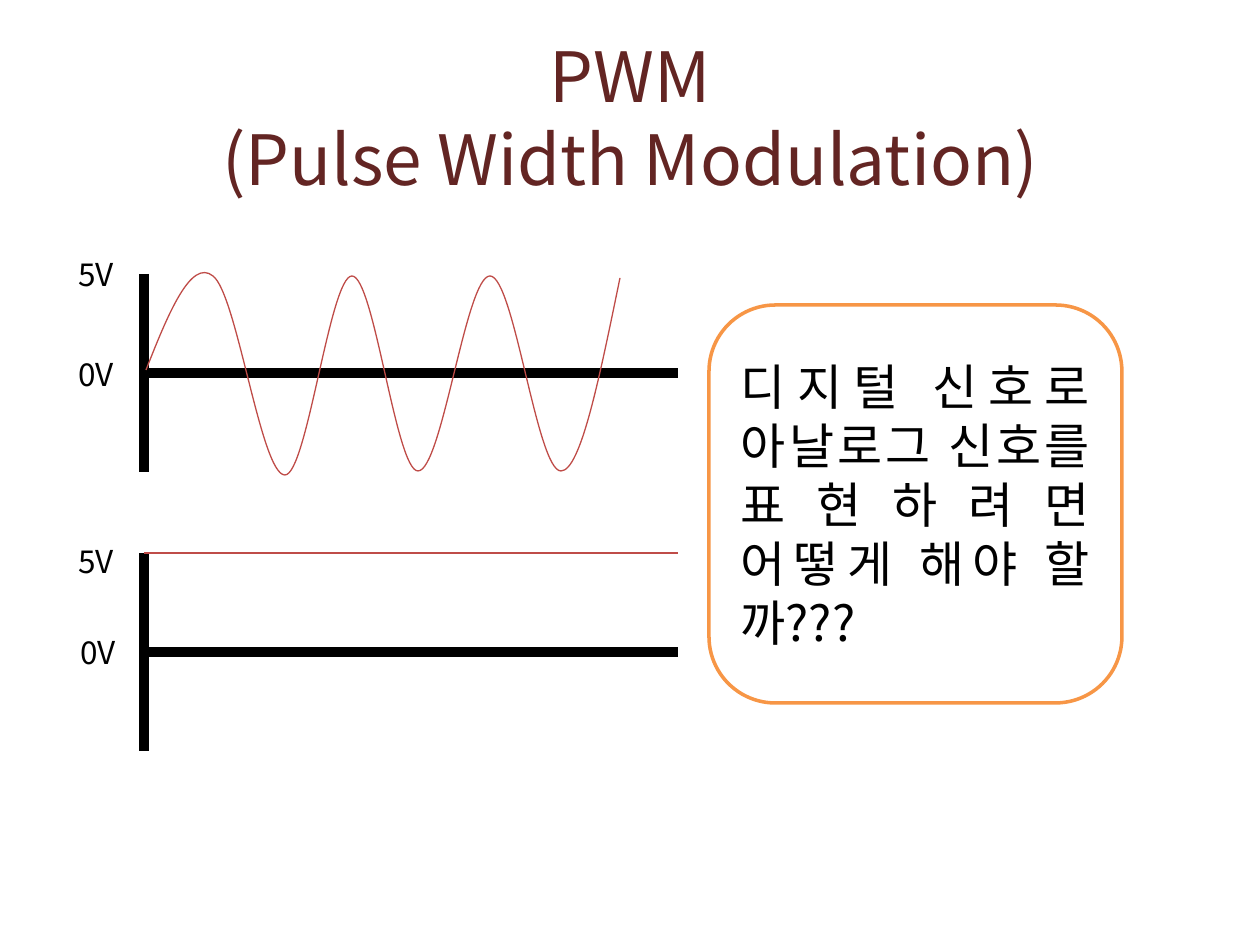
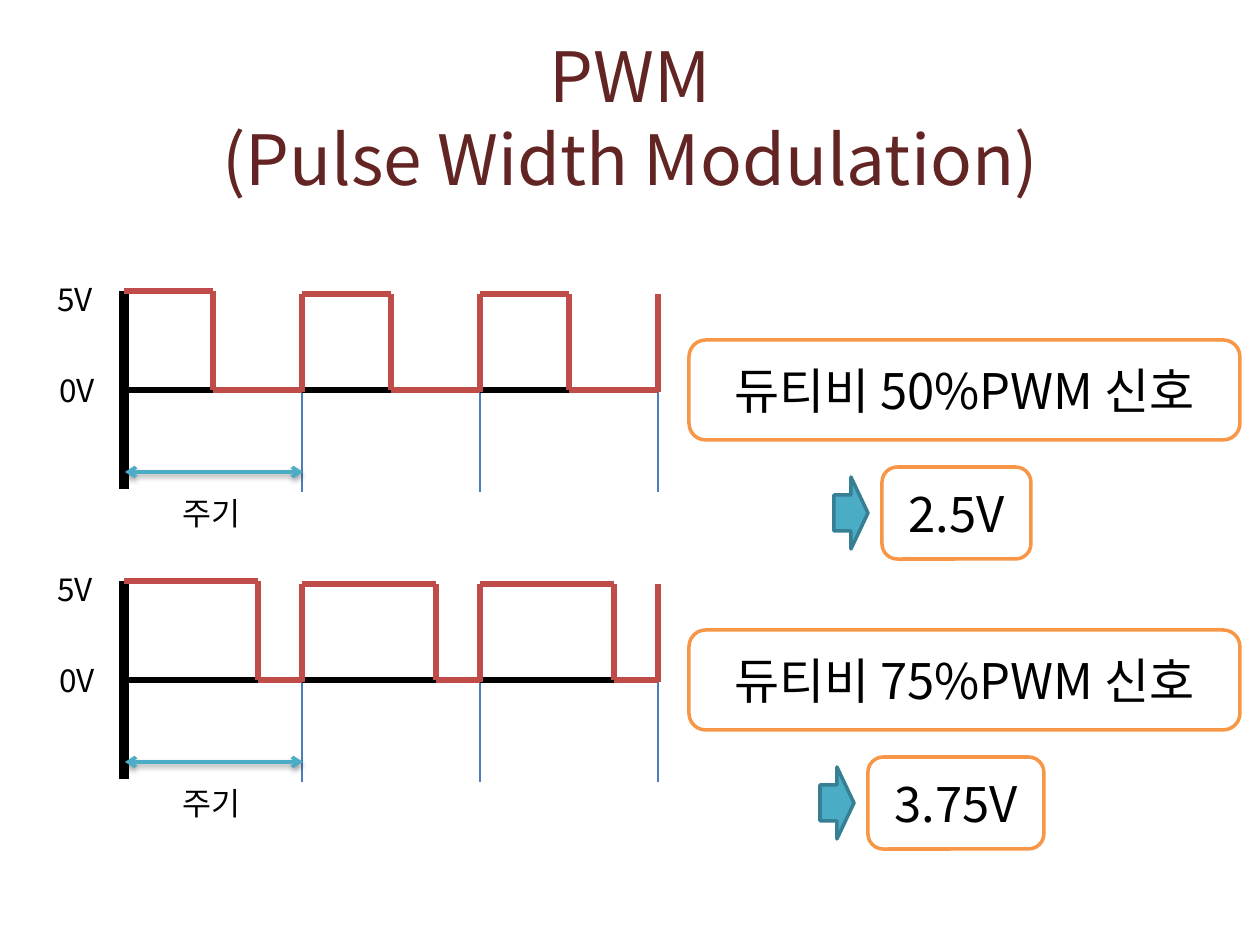
from lxml.etree import SubElement
from pptx import Presentation
from pptx.dml.color import RGBColor
from pptx.enum.shapes import MSO_CONNECTOR, MSO_SHAPE as SHAPE
from pptx.enum.text import MSO_ANCHOR as ANCHOR, PP_ALIGN as ALIGN
from pptx.oxml.ns import qn
from pptx.util import Inches, Pt

PX = 7257  # EMU in one px, 126 px to the inch
FONT = "Noto Sans CJK KR"
BLACK = RGBColor(0x00, 0x00, 0x00)
WHITE = RGBColor(0xFF, 0xFF, 0xFF)
MAROON = RGBColor(0x63, 0x25, 0x23)
RED = RGBColor(0xBF, 0x4C, 0x48)
BLUE = RGBColor(0x4B, 0x7E, 0xBC)
ORANGE = RGBColor(0xF7, 0x96, 0x46)
TEAL = RGBColor(0x4B, 0xAC, 0xC6)
DARK_TEAL = RGBColor(0x37, 0x7F, 0x92)

TITLE = {"size": Pt(39.6), "color": MAROON, "align": ALIGN.CENTER, "anchor": ANCHOR.MIDDLE}
LABEL = {"size": Pt(18), "color": BLACK, "align": ALIGN.LEFT, "anchor": ANCHOR.TOP}
CALLOUT = {"size": Pt(28), "color": BLACK, "align": ALIGN.CENTER, "anchor": ANCHOR.MIDDLE}
QUESTION = {**CALLOUT, "align": ALIGN.JUSTIFY}


def add_line(s, x1, y1, x2, y2, color, width):
    ln = s.shapes.add_connector(MSO_CONNECTOR.STRAIGHT, x1 * PX, y1 * PX, x2 * PX, y2 * PX)
    ln.line.color.rgb = color
    ln.line.width = Pt(width)
    SubElement(ln._element.spPr, qn("a:effectLst"))
    return ln


def add_box(s, box, text="", fmt=LABEL, kind=None, fill=WHITE, outline=ORANGE, wrap=True):
    """Add a preset shape, or a plain text box when no kind is given."""
    at = [v * PX for v in box]
    if kind is None:
        sp = s.shapes.add_textbox(*at)
    else:
        sp = s.shapes.add_shape(kind, *at)
        sp.shadow.inherit = False
        sp.fill.solid()
        sp.fill.fore_color.rgb = fill
        sp.line.color.rgb = outline
        sp.line.width = Pt(2)
    tf = sp.text_frame
    tf.word_wrap = wrap
    tf.vertical_anchor = fmt["anchor"]
    p = tf.paragraphs[0]
    p.text = text
    p.alignment = fmt["align"]
    for r in p.runs:
        for name, value in {"size": fmt["size"], "name": FONT}.items():
            setattr(r.font, name, value)
        r.font.color.rgb = fmt["color"]
        SubElement(r._r.get_or_add_rPr(), qn("a:ea"), typeface=FONT)


prs = Presentation()
prs.slide_width, prs.slide_height = Inches(10), Inches(7.5)
slides = [prs.slides.add_slide(prs.slide_layouts[6]) for _ in range(2)]
for s in slides:
    add_box(s, (63, 37, 1134, 158), "PWM\v(Pulse Width Modulation)", TITLE)

# Slide 1: analog wave above a constant 5V signal
s = slides[0]
for top in (274, 553):
    add_line(s, 144, top, 144, top + 198, BLACK, 6)
    add_line(s, 144, top + 99, 678, top + 99, BLACK, 6)
add_line(s, 144, 553, 678, 553, RED, 0.75)

# Each knot is x, y and the vertical reach of its Bezier handle
knots = [(146, 370, -56), (213, 276, 18), (285, 475, 0), (352, 276, 0),
         (418, 471, 0), (490, 276, 0), (561, 471, 0), (620, 278, -97)]
builder = s.shapes.build_freeform(knots[0][0], knots[0][1], scale=PX)
builder.add_line_segments([(x, y) for x, y, _ in knots[1:]], close=False)
wave = builder.convert_to_shape()
wave.shadow.inherit = False
wave.fill.background()
wave.line.color.rgb = RED
wave.line.width = Pt(0.75)

# Turn each straight segment into a cubic curve
min_x = min(x for x, _, _ in knots)
min_y = min(y for _, y, _ in knots)
segments = list(wave._element.iter(qn("a:lnTo")))
for seg, (x1, y1, rise1), (x2, y2, rise2) in zip(segments, knots, knots[1:]):
    third = (x2 - x1) / 3
    seg.tag = qn("a:cubicBezTo")
    handles = [(x1 + third, y1 + rise1), (x2 - third, y2 - rise2)]
    for i, (x, y) in enumerate(handles):
        pt = SubElement(seg, qn("a:pt"), x=str(round(x - min_x)), y=str(round(y - min_y)))
        seg.insert(i, pt)

for text, x, y in [("5V", 66, 249), ("5V", 66, 536), ("0V", 66, 349), ("0V", 68, 627)]:
    add_box(s, (x, y, 69, 50), text)
add_box(s, (709, 305, 413, 398), "디지털 신호로 아날로그 신호를 표현하려면 어떻게 해야 할까??? ",
        QUESTION, SHAPE.ROUNDED_RECTANGLE)

# Slide 2: one pulse diagram for each duty ratio
s = slides[1]
LEFT, PERIOD, CYCLES = 124, 178, 3
RIGHT = LEFT + CYCLES * PERIOD
for top, duty, volts, volts_width in [(291, 50, "2.5V", 149), (581, 75, "3.75V", 176)]:
    zero = top + 99
    ends = [LEFT + (i + 1) * PERIOD for i in range(CYCLES)]
    for x in ends:
        add_line(s, x, top + 3, x, top + 201, BLUE, 0.75)
    add_line(s, LEFT, top, LEFT, top + 198, BLACK, 6)
    add_line(s, LEFT, zero, RIGHT, zero, BLACK, 3)

    for i, end in enumerate(ends):
        start = end - PERIOD
        fall = start + round(PERIOD * duty / 100)
        high = top + (3 if i else 0)
        add_line(s, start, high, fall, high, RED, 3)
        add_line(s, fall, zero, fall, high, RED, 3)
        add_line(s, fall, zero, end, zero, RED, 3)
        add_line(s, end, zero + 2, end, top + 3, RED, 3)

    add_box(s, (45, top - 17, 69, 50), "5V")
    add_box(s, (47, top + 74, 69, 50), "0V")
    add_box(s, (170, top + 197, 89, 50), "주기", wrap=False)

    span = add_line(s, LEFT + 1, top + 181, LEFT + 1 + PERIOD, top + 181, TEAL, 2)
    for end in ("a:headEnd", "a:tailEnd"):
        SubElement(span.line._get_or_add_ln(), qn(end), type="arrow")
    shadow = SubElement(span._element.spPr.find(qn("a:effectLst")), qn("a:outerShdw"),
                        blurRad="40000", dist="20000", dir="5400000", rotWithShape="0")
    tint = SubElement(shadow, qn("a:srgbClr"), val=str(BLACK))
    SubElement(tint, qn("a:alpha"), val="38000")

    add_box(s, (689, top + 49, 551, 100), f"듀티비 {duty}%PWM 신호", CALLOUT,
            SHAPE.ROUNDED_RECTANGLE)
    volts_left = 956 - volts_width // 2
    add_box(s, (volts_left, top + 176, volts_width, 92), volts, CALLOUT,
            SHAPE.ROUNDED_RECTANGLE)
    add_box(s, (volts_left - 48, top + 186, 34, 72), kind=SHAPE.RIGHT_ARROW,
            fill=TEAL, outline=DARK_TEAL)

prs.save("out.pptx")
